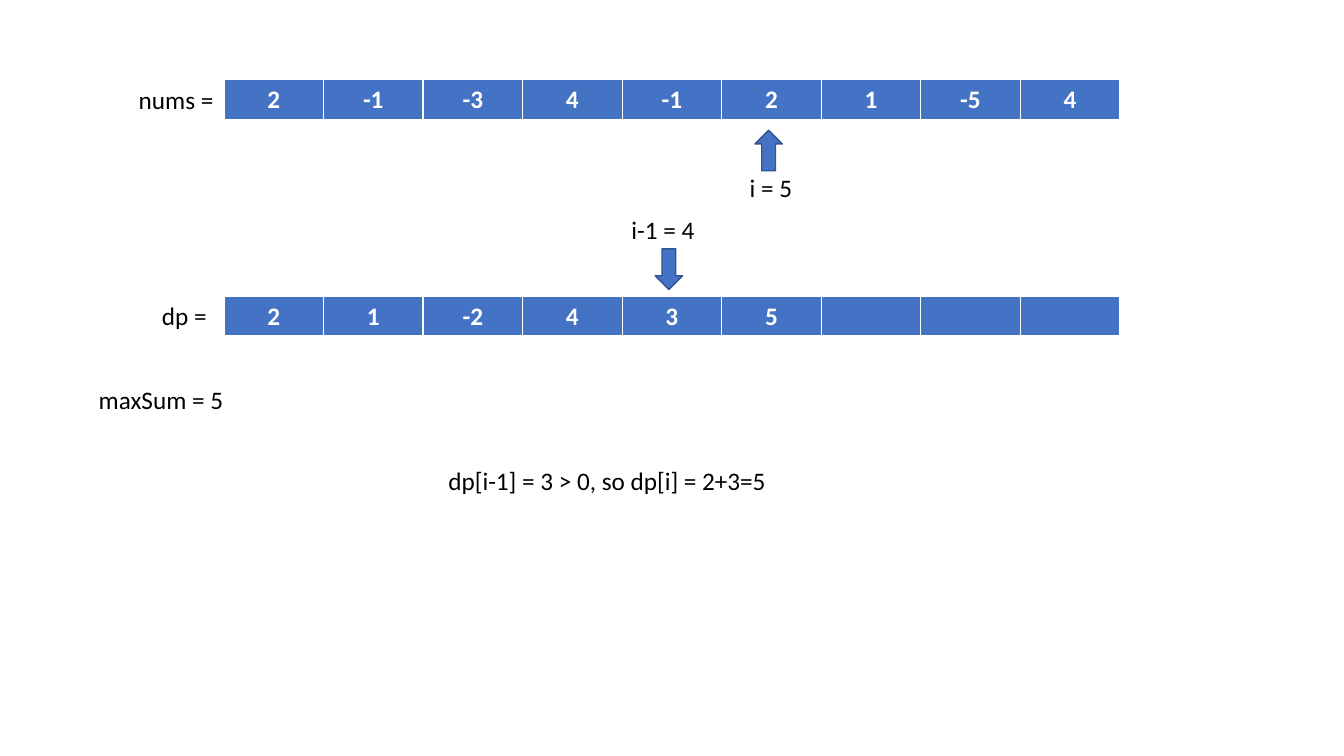
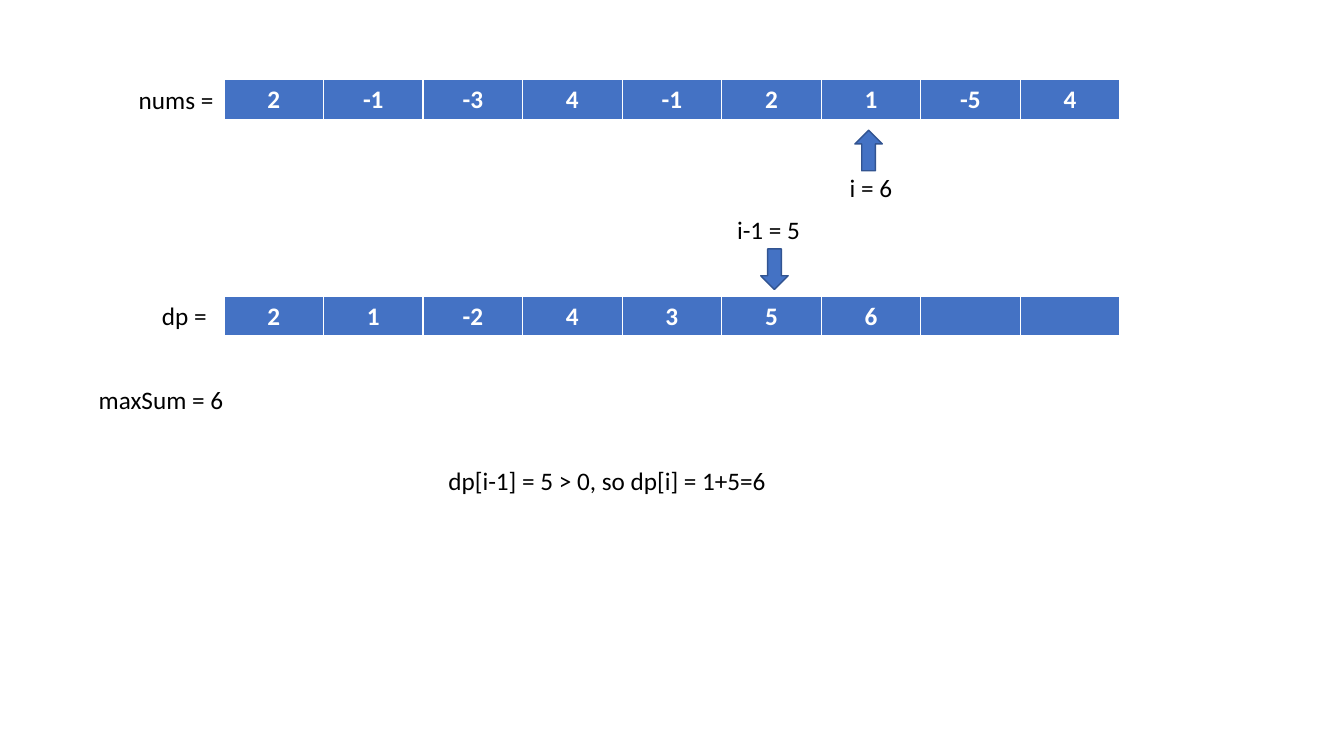
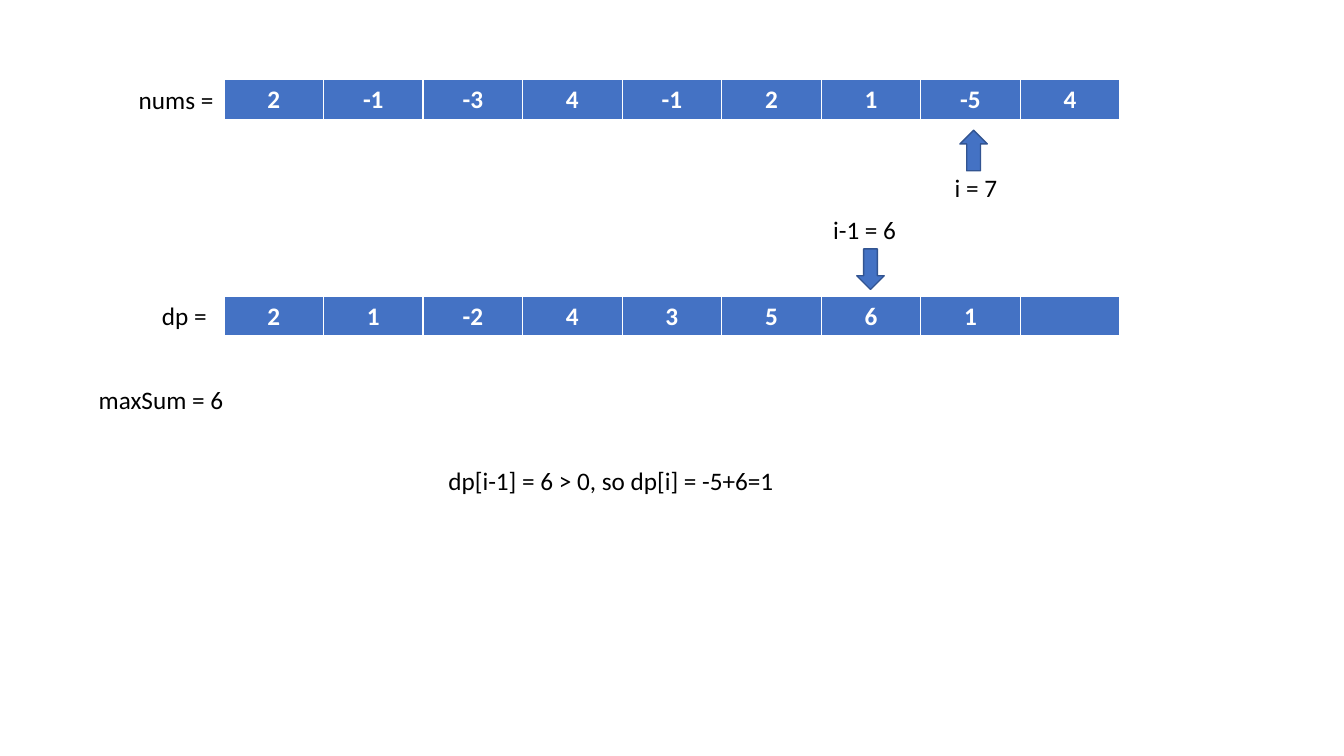
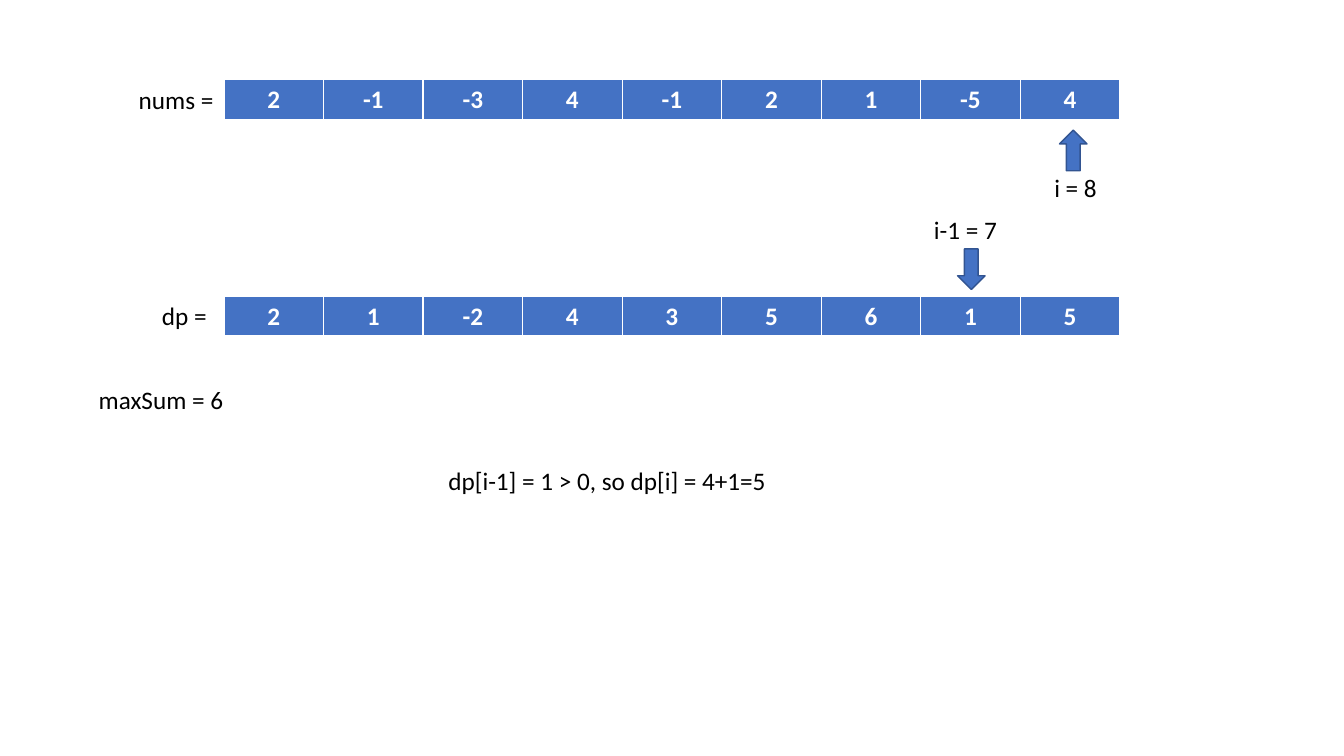
from lxml import etree
from pptx import Presentation
from pptx.dml.color import RGBColor
from pptx.enum.shapes import MSO_SHAPE
from pptx.enum.text import MSO_AUTO_SIZE, PP_ALIGN
from pptx.oxml.ns import qn
from pptx.util import Pt

DOWN_ARROW = MSO_SHAPE.DOWN_ARROW
GROW = MSO_AUTO_SIZE.SHAPE_TO_FIT_TEXT
LEFT, CENTER = PP_ALIGN.LEFT, PP_ALIGN.CENTER

BLUE = RGBColor(0x44, 0x72, 0xC4)
DARK_BLUE = RGBColor(0x32, 0x54, 0x91)
WHITE = RGBColor(0xFF, 0xFF, 0xFF)
BLACK = RGBColor(0, 0, 0)

NUMS = [2, -1, -3, 4, -1, 2, 1, -5, 4]
TABLE_LEFT, TABLE_WIDTH, ROW_HEIGHT = 160, 640, 29.2
NUMS_TOP, DP_TOP = 57, 211.6
LABEL_HEIGHT = 29
ARROW_WIDTH, ARROW_HEIGHT = 19.6, 29
BORDERS = {"a:lnL": 1, "a:lnR": 1, "a:lnT": 1, "a:lnB": 3}


def write_text(text_frame, text, size=18, color=BLACK, bold=False, align=LEFT):
    paragraph = text_frame.paragraphs[0]
    paragraph.alignment = align
    if text:
        run = paragraph.add_run()
        run.text = text
        run.font.name = "Calibri"
        run.font.size = Pt(size)
        run.font.bold = bold
        run.font.color.rgb = color


def add_label(shapes, text, left, top, width):
    label = shapes.add_textbox(Pt(left), Pt(top), Pt(width), Pt(LABEL_HEIGHT))
    label.text_frame.word_wrap = True
    label.text_frame.auto_size = GROW
    write_text(label.text_frame, text)


dp = NUMS[:1]
for number in NUMS[1:]:
    dp.append(number + max(dp[-1], 0))

presentation = Presentation()
presentation.slide_width = Pt(960)
presentation.slide_height = Pt(540)

steps = [(5, 539.2, 468), (6, 610.6, 543.4), (7, 685.6, 612), (8, 756.8, 684)]
for i, current_left, previous_left in steps:
    slide = presentation.slides.add_slide(presentation.slide_layouts[6])
    known = dp[:i + 1]

    for values, top in [(NUMS, NUMS_TOP), (known, DP_TOP)]:
        table = slide.shapes.add_table(
            1, len(NUMS), Pt(TABLE_LEFT), Pt(top), Pt(TABLE_WIDTH), Pt(ROW_HEIGHT)
        ).table
        table.first_row = False
        table.horz_banding = False
        for index in range(len(NUMS)):
            table.columns[index].width = Pt(TABLE_WIDTH / len(NUMS))
            cell = table.cell(0, index)
            text = str(values[index]) if index < len(values) else ""
            write_text(cell.text_frame, text, color=WHITE, bold=True, align=CENTER)
            properties = cell._tc.get_or_add_tcPr()
            for tag, width in BORDERS.items():
                border = etree.SubElement(properties, qn(tag), w=str(Pt(width)))
                fill = etree.SubElement(border, qn("a:solidFill"))
                etree.SubElement(fill, qn("a:srgbClr"), val=str(WHITE))
            cell.fill.solid()
            cell.fill.fore_color.rgb = BLUE

    add_label(slide.shapes, "nums = ", 92, 57, 74)
    add_label(slide.shapes, "dp = ", 108.6, 211.2, 74)
    add_label(slide.shapes, f"maxSum = {max(known)}", 63.4, 271, 122.4)

    pointers = [
        (f"i = {i}", current_left, 93, 180, 10.8, 119.6, 50.4),
        (f"i-1 = {i - 1}", previous_left, 177.8, 0, 24, 149.2, 67),
    ]
    for text, left, top, rotation, label_offset, label_top, label_width in pointers:
        group = slide.shapes.add_group_shape()
        arrow = group.shapes.add_shape(
            DOWN_ARROW, Pt(left), Pt(top), Pt(ARROW_WIDTH), Pt(ARROW_HEIGHT)
        )
        arrow.rotation = rotation
        arrow.shadow.inherit = False
        arrow.fill.solid()
        arrow.fill.fore_color.rgb = BLUE
        arrow.line.color.rgb = DARK_BLUE
        arrow.line.width = Pt(1)
        add_label(group.shapes, text, left - label_offset, label_top, label_width)

    previous = dp[i - 1]
    add_label(
        slide.shapes,
        f"dp[i-1] = {previous} > 0, so dp[i] = {NUMS[i]}+{previous}={dp[i]}",
        313.2, 328.6, 333.4,
    )

presentation.save("out.pptx")
